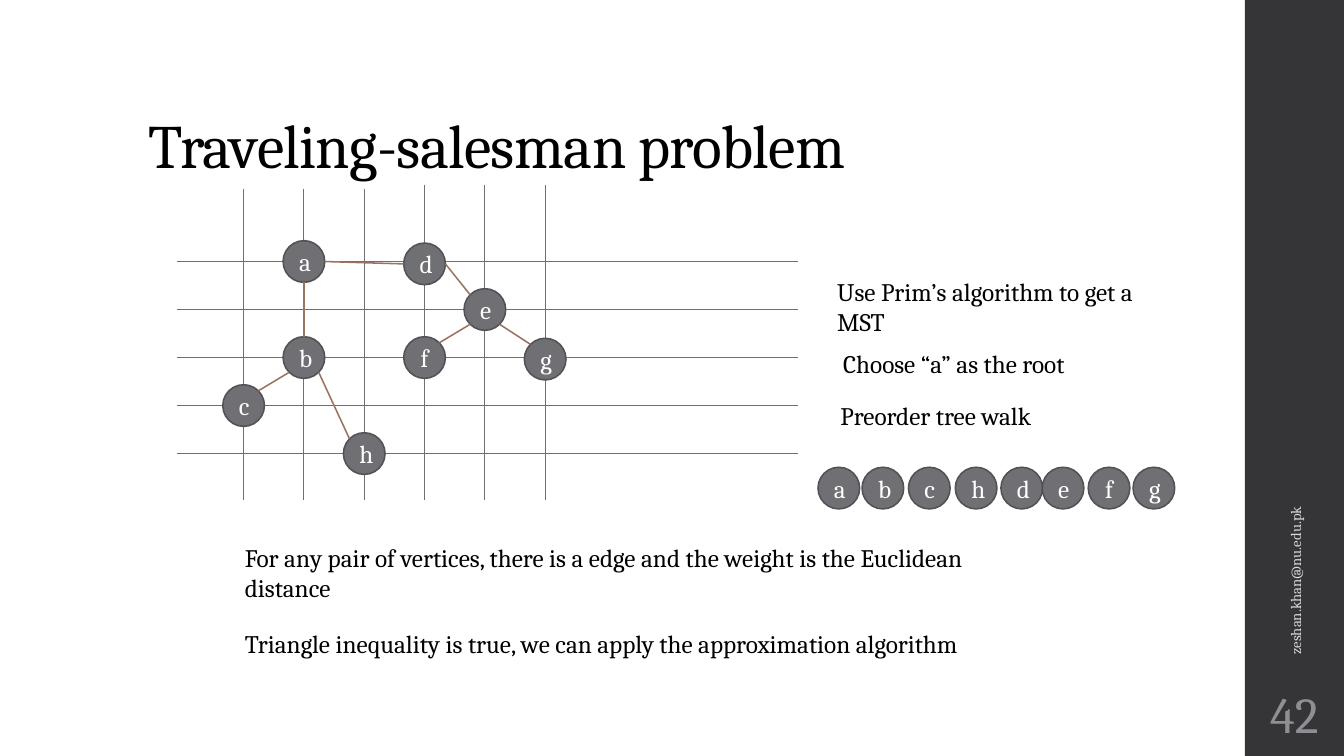
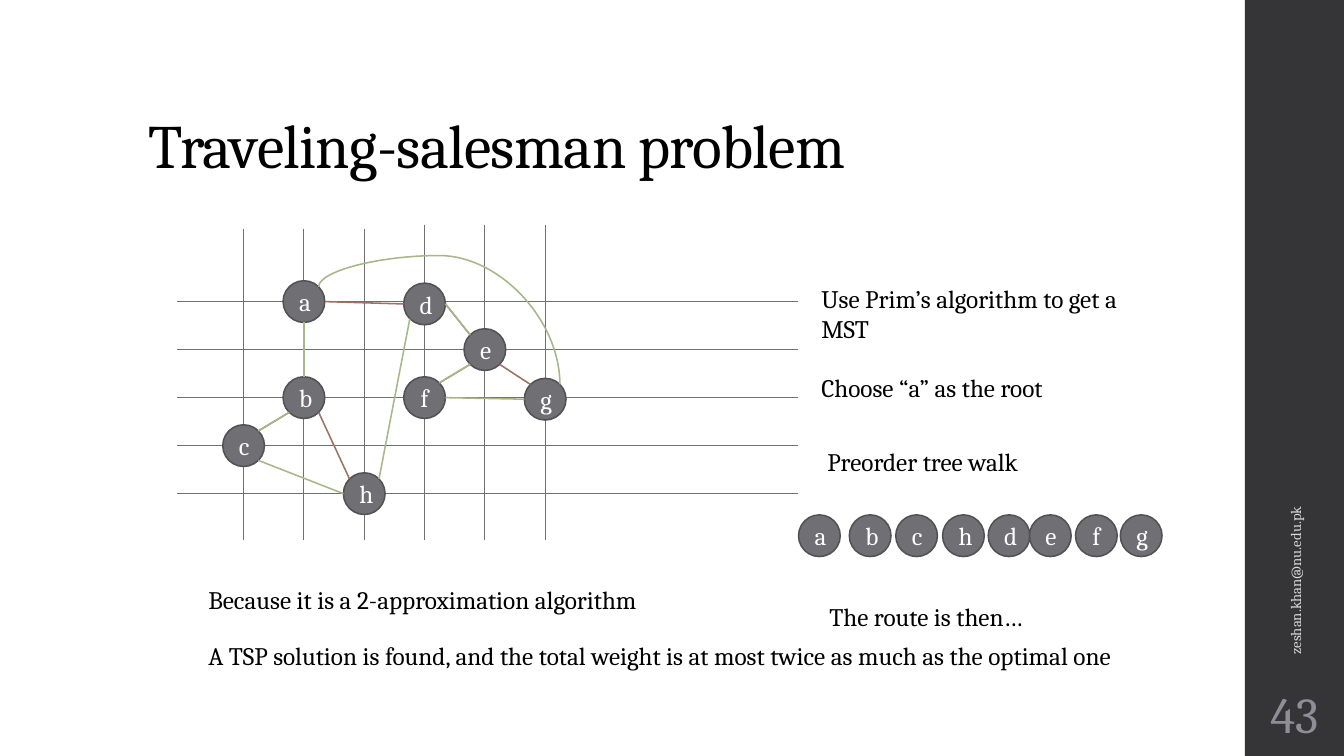
from lxml import etree
from pptx import Presentation, util as u
from pptx.dml.color import RGBColor
from pptx.enum import shapes, text as styles
from pptx.oxml.ns import qn

FONT = "Cambria"
BLACK, WHITE = "000000", "FFFFFF"
BAND, EMAIL, NUMBER = "353537", "D9D9DB", "8E8E94"
GRAY, RIM = "6F6F74", "525256"
TREE, ROUTE = "9B7362", "A7B789"

SLIDE_WIDTH, SLIDE_HEIGHT = 33.87, 19.05
BAND_LEFT = 31.37
BAND_WIDTH = SLIDE_WIDTH - BAND_LEFT

DIAMETER = 1.05
COLUMN_LEFT, COLUMN_STEP = 6.14, 1.52
ROW_STEP = 1.21
ROW_START, ROW_END = 4.45, 20.12
COLUMN_RISES = [1.84] * 3 + [1.94] * 3
COLUMN_DROP = 6.01

VERTICES = {
    "a": (1, 0, 0), "b": (1, 2, 0), "c": (0, 3, 0), "d": (3, 0, 0.06),
    "e": (4, 1, 0), "f": (3, 2, 0), "g": (5, 2, 0.04), "h": (2, 4, 0),
}
DIAGONAL = 0.707
SITES = {
    "N": (0, -1), "S": (0, 1), "W": (-1, 0), "E": (1, 0),
    "NW": (-DIAGONAL, -DIAGONAL), "NE": (DIAGONAL, -DIAGONAL),
    "SW": (-DIAGONAL, DIAGONAL), "SE": (DIAGONAL, DIAGONAL),
}
TREE_EDGES = ["a S b N", "b SW c NE", "b SE h NW", "a E d W",
              "d E e NW", "e SE g NW", "e SW f NE"]
ROUTE_EDGES = ["b N a S", "c NE b SW", "c SE h W", "h NE d SW",
               "f NE e SW", "d E e NW", "f E g W"]
WALK = {"b": 0, "c": 1.17, "h": 2.35, "d": 3.5, "e": 4.54, "f": 5.7, "g": 6.83}


def color(value):
    return RGBColor.from_string(value)


def lengths(*values):
    return [u.Cm(value) for value in values]


def write(frame, words, size, tone, align=None):
    para = frame.paragraphs[0]
    span = para.add_run()
    span.text = words
    if align is not None:
        para.alignment = align
    para.font.name = FONT
    para.font.size = u.Pt(size)
    para.font.color.rgb = color(tone)
    return para


def add_text(page, words, left, top, width, height=1.02, size=18, tone=BLACK,
             anchor=styles.MSO_ANCHOR.TOP, align=None):
    box = page.shapes.add_textbox(*lengths(left, top, width, height))
    box.text_frame.word_wrap = True
    box.text_frame.vertical_anchor = anchor
    write(box.text_frame, words, size, tone, align)
    return box


def add_solid(page, kind, left, top, width, height, fill):
    shape = page.shapes.add_shape(kind, *lengths(left, top, width, height))
    shape.shadow.inherit = False
    shape.fill.solid()
    shape.fill.fore_color.rgb = color(fill)
    shape.line.fill.background()
    return shape


def add_node(page, letter, x, y):
    node = add_solid(page, shapes.MSO_SHAPE.OVAL, x - DIAMETER / 2, y - DIAMETER / 2,
                     DIAMETER, DIAMETER, GRAY)
    node.line.color.rgb = color(RIM)
    node.line.width = u.Pt(1.1)
    node.text_frame.vertical_anchor = styles.MSO_ANCHOR.MIDDLE
    write(node.text_frame, letter, 18, WHITE, styles.PP_ALIGN.CENTER)


def add_line(page, start, end, tone, width=1.1, kind=shapes.MSO_CONNECTOR.STRAIGHT):
    line = page.shapes.add_connector(kind, *lengths(*start, *end))
    line.line.color.rgb = color(tone)
    line.line.width = u.Pt(width)
    etree.SubElement(line._element.spPr, qn("a:effectLst"))
    return line


def add_arc(page, start, end, tone):
    middle_x, middle_y = (start[0] + end[0]) / 2, (start[1] + end[1]) / 2
    half_width, half_height = (end[1] - start[1]) / 2, (end[0] - start[0]) / 2
    arc = add_line(page, (middle_x + half_width, middle_y - half_height),
                   (middle_x - half_width, middle_y + half_height), tone,
                   kind=shapes.MSO_CONNECTOR.CURVE)
    properties = arc._element.spPr
    properties.find(qn("a:xfrm")).set("rot", "16200000")
    guides = properties.find(qn("a:prstGeom")).find(qn("a:avLst"))
    etree.SubElement(guides, qn("a:gd"), name="adj1", fmla="val -32100")


def center(letter, grid_top):
    column, row, nudge = VERTICES[letter]
    return COLUMN_LEFT + column * COLUMN_STEP, grid_top + row * ROW_STEP + nudge


def site(letter, side, grid_top):
    x, y = center(letter, grid_top)
    across, down = SITES[side]
    return x + across * DIAMETER / 2, y + down * DIAMETER / 2


def add_edges(page, edges, grid_top, tone):
    for edge in edges:
        first, first_side, second, second_side = edge.split()
        add_line(page, site(first, first_side, grid_top),
                 site(second, second_side, grid_top), tone)


def add_graph(page, grid_top):
    for row in range(5):
        y = grid_top + row * ROW_STEP
        add_line(page, (ROW_START, y), (ROW_END, y), GRAY, 0.75)
    for column, rise in enumerate(COLUMN_RISES):
        x = COLUMN_LEFT + column * COLUMN_STEP
        add_line(page, (x, grid_top - rise), (x, grid_top + COLUMN_DROP), GRAY, 0.75)
    for letter in VERTICES:
        add_node(page, letter, *center(letter, grid_top))
    add_edges(page, TREE_EDGES, grid_top, TREE)


def add_walk(page, root_x, rest_x, y):
    add_node(page, "a", root_x, y)
    for letter, offset in WALK.items():
        add_node(page, letter, rest_x + offset, y)


def add_steps(page, places):
    steps = ["Use Prim’s algorithm to get a MST", "Choose “a” as the root",
             "Preorder tree walk"]
    for words, (left, top) in zip(steps, places):
        add_text(page, words, left, top, 8.46)


def add_page(deck, number):
    page = deck.slides.add_slide(deck.slide_layouts[6])
    middle = styles.MSO_ANCHOR.MIDDLE
    add_solid(page, shapes.MSO_SHAPE.RECTANGLE, BAND_LEFT, 0, BAND_WIDTH, SLIDE_HEIGHT, BAND)
    title = add_text(page, "Traveling-salesman problem", 3.5, 1.02, 26.92, 3.68, 44,
                     anchor=styles.MSO_ANCHOR.BOTTOM)
    para = title.text_frame.paragraphs[0]
    para.line_spacing = 0.9
    para.runs[0]._r.get_or_add_rPr().set("spc", "-50")
    email = add_text(page, "zeshan.khan@nu.edu.pk", 27.66, 11.25, 9.96, 1.02, 10.5,
                     EMAIL, middle)
    email.rotation = 270
    counter = add_text(page, str(number), BAND_LEFT, 17.15, BAND_WIDTH, 1.65, 36,
                       NUMBER, middle, styles.PP_ALIGN.CENTER)
    frame = counter.text_frame
    frame.margin_left = frame.margin_right = u.Cm(0.13)
    frame.margin_top = frame.margin_bottom = u.Cm(0.13)
    return page


def add_tree_page(deck):
    page = add_page(deck, 42)
    add_graph(page, 6.59)
    add_steps(page, [(20.85, 6.83), (21.0, 8.66), (20.93, 9.96)])
    add_walk(page, 21.14, 22.25, 12.3)
    add_text(page, "For any pair of vertices, there is a edge and the weight is "
             "the Euclidean distance", 5.92, 13.54, 20.78)
    add_text(page, "Triangle inequality is true, we can apply the approximation algorithm",
             5.92, 15.7, 19.28)


def add_route_page(deck):
    page = add_page(deck, 43)
    grid_top = 7.6
    add_graph(page, grid_top)
    add_steps(page, [(20.45, 7.01), (20.45, 9.25), (20.6, 11.13)])
    add_walk(page, 20.65, 21.93, 13.5)
    add_text(page, "The route is then…", 20.65, 15.04, 8.46)
    add_edges(page, ROUTE_EDGES, grid_top, ROUTE)
    add_arc(page, site("a", "NE", grid_top), site("g", "NE", grid_top), ROUTE)
    add_text(page, "Because it is a 2-approximation algorithm", 5.0, 14.61, 24.61)
    add_text(page, "A TSP solution is found, and the total weight is at most twice "
             "as much as the optimal one", 5.0, 16.0, 24.61)


def main():
    deck = Presentation()
    deck.slide_width, deck.slide_height = lengths(SLIDE_WIDTH, SLIDE_HEIGHT)
    add_tree_page(deck)
    add_route_page(deck)
    deck.save("out.pptx")


if __name__ == "__main__":
    main()
